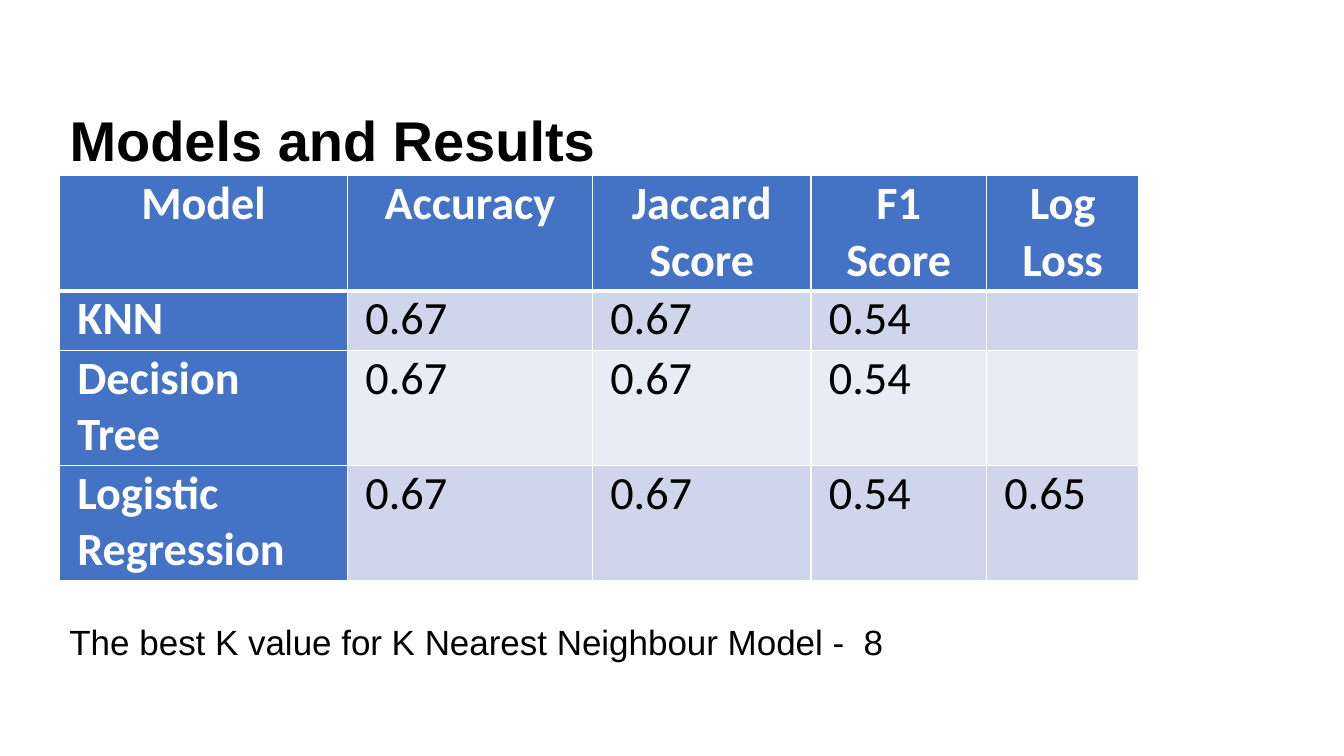
from dataclasses import dataclass

from lxml.etree import SubElement
from pptx import Presentation
from pptx.dml.color import RGBColor
from pptx.enum.text import MSO_ANCHOR, PP_ALIGN
from pptx.oxml.ns import qn
from pptx.util import Cm, Pt


@dataclass(frozen=True)
class Theme:
    """Colours, fonts and type sizes of the deck."""
    ink: str = "000000"
    white: str = "FFFFFF"
    accent: str = "4472C4"
    bands: tuple = ("CFD5EA", "E9EBF5")
    text_font: str = "Arial"
    table_font: str = "Calibri"
    title_size: int = 40
    table_size: int = 33
    note_size: int = 25


THEME = Theme()
LEFT = 1.5
COLUMN_WIDTHS = (7.26, 6.17, 5.51, 4.42, 3.84)
ROW_HEIGHTS = (2.9, 1.5, 2.9, 2.9)
RESULTS = (
    ("Model", "Accuracy", "Jaccard Score", "F1 Score", "Log Loss"),
    ("KNN", "0.67", "0.67", "0.54", ""),
    ("Decision Tree", "0.67", "0.67", "0.54", ""),
    ("Logistic Regression", "0.67", "0.67", "0.54", "0.65"),
)


def add_span(para, text, font, size, colour, bold=False):
    """Add one formatted run to a paragraph."""
    span = para.add_run()
    span.text = text
    span.font.name = font
    span.font.size = Pt(size)
    span.font.bold = bold
    span.font.color.rgb = RGBColor.from_string(colour)


def add_title(page, box, text):
    """Place the title placeholder in the box and fill it."""
    title = page.shapes.title
    title.left, title.top, title.width, title.height = map(Cm, box)
    frame = title.text_frame
    frame.word_wrap = True
    frame.vertical_anchor = MSO_ANCHOR.TOP
    frame.margin_top = Cm(0.86)
    para = frame.paragraphs[0]
    para.alignment = PP_ALIGN.LEFT
    para.line_spacing = 0.9
    para.space_before = Pt(0)
    add_span(para, text, THEME.text_font, THEME.title_size, THEME.ink, True)


def set_borders(cell, top, bottom):
    """Draw white borders; top and bottom are widths in points."""
    properties = cell._tc.get_or_add_tcPr()
    for side, width in (("L", 1), ("R", 1), ("T", top), ("B", bottom)):
        line = SubElement(properties, qn(f"a:ln{side}"), w=str(Pt(width)))
        fill = SubElement(line, qn("a:solidFill"))
        SubElement(fill, qn("a:srgbClr"), val=THEME.white)


def format_cell(cell, text, row, column):
    """Style one table cell according to its row and column."""
    header = row == 0
    strong = header or column == 0
    set_borders(cell, 3 if row == 1 else 1, 3 if header else 1)
    cell.fill.solid()
    colour = THEME.accent if strong else THEME.bands[(row - 1) % 2]
    cell.fill.fore_color.rgb = RGBColor.from_string(colour)
    cell.margin_left = cell.margin_right = Cm(0.45)
    cell.margin_top = cell.margin_bottom = 0
    if text:
        para = cell.text_frame.paragraphs[0]
        para.alignment = PP_ALIGN.CENTER if header else PP_ALIGN.LEFT
        para.space_before = Pt(12)
        add_span(para, text, THEME.table_font, THEME.table_size,
                 THEME.white if strong else THEME.ink, strong)


def add_results_table(page, left, top):
    """Add the model scores with the given top left corner."""
    table = page.shapes.add_table(
        len(ROW_HEIGHTS), len(COLUMN_WIDTHS), Cm(left), Cm(top),
        Cm(sum(COLUMN_WIDTHS)), Cm(sum(ROW_HEIGHTS))).table
    table.first_col = True
    for column, width in zip(table.columns, COLUMN_WIDTHS):
        column.width = Cm(width)
    for row, height in zip(table.rows, ROW_HEIGHTS):
        row.height = Cm(height)
    for row, texts in enumerate(RESULTS):
        for column, text in enumerate(texts):
            format_cell(table.cell(row, column), text, row, column)


def add_note(page, box, text):
    """Add the remark below the table."""
    frame = page.shapes.add_textbox(*map(Cm, box)).text_frame
    frame.word_wrap = True
    add_span(frame.paragraphs[0], text, THEME.text_font, THEME.note_size, THEME.ink)


def add_results_page(deck):
    """Build the page with title, score table and remark."""
    page = deck.slides.add_slide(deck.slide_layouts.get_by_name("Title Only"))
    add_title(page, (LEFT, 2, 29.2, 4.2), "Models and Results")
    add_results_table(page, LEFT, 4.43)
    add_note(page, (LEFT, 15.52, 28.07, 1.32),
             "The best K value for K Nearest Neighbour Model -  8")


deck = Presentation()
deck.slide_width, deck.slide_height = Cm(33.87), Cm(19.05)
add_results_page(deck)
deck.save("out.pptx")
